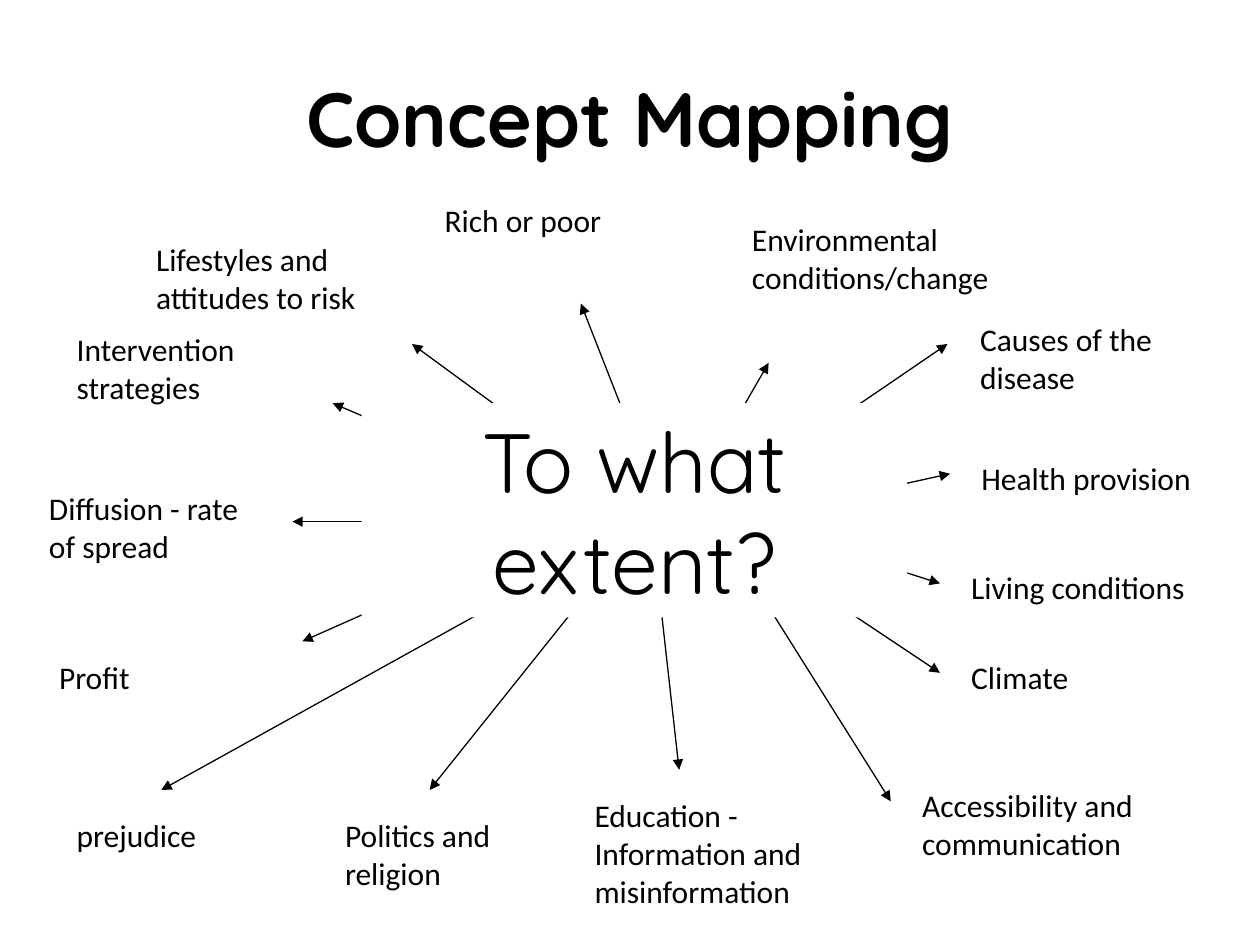
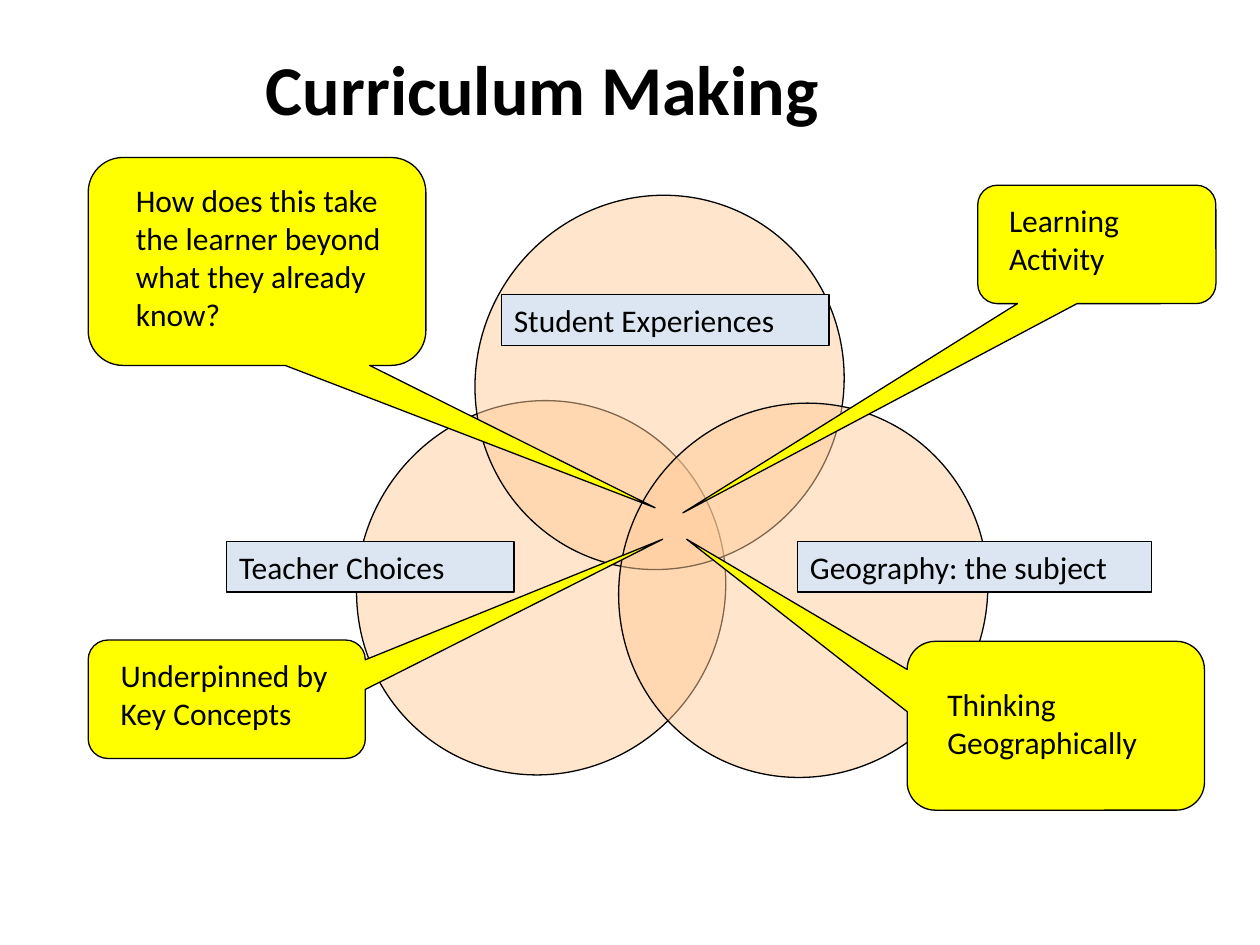
from dataclasses import dataclass
from typing import Any

from lxml.etree import SubElement as Sub
from pptx import Presentation
from pptx.dml.color import RGBColor
from pptx.enum.shapes import MSO_CONNECTOR as Link, MSO_SHAPE as Kind
from pptx.enum.text import MSO_ANCHOR as Anchor, PP_ALIGN as Align
from pptx.oxml.ns import qn
from pptx.util import Inches, Pt

BLACK = RGBColor(0, 0, 0)
WHITE = RGBColor(255, 255, 255)
PEACH = RGBColor(0xFF, 0xCC, 0x99)
PALE = RGBColor(0xDC, 0xE6, 0xF2)
YELLOW = RGBColor(255, 255, 0)

# The slide is a grid of 100 columns and 75 rows; all places are (column, row).
WIDE, HIGH = Inches(10), Inches(7.5)
COL, ROW = WIDE / 100, HIGH / 75

BODY = {"name": "Calibri", "size": Pt(18), "bold": False}
HEAD = {"name": "Quicksand", "size": Pt(44), "bold": True}
SUBHEAD = {"name": "Calibri", "size": Pt(40), "bold": True}
CORE = {"name": "Quicksand", "size": Pt(48), "bold": False}
EDGE = Pt(0.75)


@dataclass
class Box:
    x: float
    y: float
    w: float
    h: float

    def spot(self) -> dict[str, int]:
        return {"left": int(self.x * COL), "top": int(self.y * ROW),
                "width": int(self.w * COL), "height": int(self.h * ROW)}


@dataclass
class Spoke:
    """A label and the arrow that points to it."""
    text: str
    x: float
    y: float
    start: tuple[float, float]
    tip: tuple[float, float]
    lines: int = 1
    w: float = 19.5


@dataclass
class Note:
    """A callout whose pointer ends at aim, with text in its own box."""
    text: str
    frame: Box
    aim: tuple[float, float]
    inner: Box


SPOKES = [
    Spoke("Health provision", 76.9, 35.9, (65, 39.9), (75.4, 37.6)),
    Spoke("Environmental conditions/change", 58.7, 17, (58.7, 32.8), (61, 28.8), 2, 23.4),
    Spoke("Living conditions", 76.1, 44.6, (64.2, 43), (74.6, 46.3)),
    Spoke("Education - Information and misinformation", 46.2, 62.7, (52.4, 47.7), (53.9, 61.1), 3),
    Spoke("Climate", 76.1, 51.7, (62.6, 45.4), (74.6, 53.4)),
    Spoke("Accessibility and communication", 72.2, 61.9, (60.2, 46.9), (70.7, 63.6), 2),
    Spoke("Politics and religion", 26.4, 64.3, (46.1, 47.7), (34.1, 62.7), 2),
    Spoke("prejudice", 5.1, 64.3, (41.3, 46.9), (12.8, 62.7)),
    Spoke("Profit", 3.7, 51.7, (38.2, 44.6), (24, 50.9)),
    Spoke("Intervention strategies", 5.1, 25.7, (37.4, 36.7), (26.4, 32), 2),
    Spoke("Diffusion - rate of spread", 2.9, 38.3, (35.8, 41.4), (23.2, 41.4), 2),
    Spoke("Lifestyles and attitudes to risk", 11.4, 18.6, (41.3, 33.6), (32.7, 27.3), 2),
    Spoke("Rich or poor", 34.3, 15.5, (49.2, 32), (46.1, 24.1)),
    Spoke("Causes of the disease", 76.8, 24.9, (62.6, 35.9), (75.2, 27.3), 2, 20.5),
]
RINGS = [(28, 32.1), (37.4, 15.8), (48.8, 32.3)]
TAGS = [
    ("Student Experiences", Box(39.8, 23.4, 26, 4)),
    ("Geography: the subject", Box(63.3, 43, 28.1, 4)),
    ("Teacher Choices", Box(18, 43, 22.8, 4)),
]
NOTES = [
    Note("Underpinned by Key Concepts", Box(7, 50.8, 22, 9.4), (52.6, 42.8), Box(8.6, 51.6, 19.7, 7)),
    Note("How does this take the learner beyond what they already know?",
         Box(7, 12.5, 26.8, 16.5), (52, 40.3), Box(9.8, 13.9, 22.8, 13)),
    Note("Thinking Geographically", Box(72, 50.9, 23.6, 13.4), (54.5, 42.8), Box(74.2, 53.9, 18.9, 7)),
    Note("Learning Activity", Box(77.6, 14.7, 18.9, 9.4), (54.2, 40.7), Box(79.1, 15.5, 16.5, 7)),
]


def put(item: Any, vals: dict[str, Any]) -> None:
    for name, val in vals.items():
        setattr(item, name, val)


def write(shape: Any, text: str, font: dict[str, Any], align: Align = Align.LEFT,
          anchor: Anchor = Anchor.TOP) -> None:
    frame = shape.text_frame
    frame.text = text
    put(frame, {"word_wrap": True, "vertical_anchor": anchor})
    para = frame.paragraphs[0]
    para.alignment = align
    run = para.runs[0]
    put(run.font, font)
    run.font.color.rgb = BLACK


def label(slide: Any, text: str, box: Box) -> None:
    write(slide.shapes.add_textbox(**box.spot()), text, BODY)


def draw(slide: Any, kind: Kind, box: Box, fill: RGBColor, edge: bool = True) -> Any:
    shape = slide.shapes.add_shape(kind, **box.spot())
    shape.shadow.inherit = False
    shape.fill.solid()
    shape.fill.fore_color.rgb = fill
    if edge:
        shape.line.color.rgb = BLACK
        shape.line.width = EDGE
    else:
        shape.line.fill.background()
    return shape


def arrow(slide: Any, start: tuple[float, float], tip: tuple[float, float]) -> None:
    ends = [int(n * unit) for point in (start, tip) for n, unit in zip(point, (COL, ROW))]
    line = slide.shapes.add_connector(Link.STRAIGHT, *ends)
    line.line.color.rgb = BLACK
    line.line.width = EDGE
    Sub(line.line._get_or_add_ln(), qn("a:tailEnd"), type="triangle")
    Sub(line._element.spPr, qn("a:effectLst"))


def ring(slide: Any, x: float, y: float) -> None:
    """A half clear circle."""
    shape = draw(slide, Kind.OVAL, Box(x, y, 29.9, 29.1), PEACH)
    shape.rotation = 299.9
    tint = shape._element.spPr.find(qn("a:solidFill"))[0]
    Sub(tint, qn("a:alpha"), val="50000")


def callout(slide: Any, note: Note) -> None:
    box = note.frame
    shape = draw(slide, Kind.ROUNDED_RECTANGULAR_CALLOUT, box, YELLOW)
    shape.adjustments[0] = (note.aim[0] - box.x) / box.w - 0.5
    shape.adjustments[1] = (note.aim[1] - box.y) / box.h - 0.5
    label(slide, note.text, note.inner)


def start(deck: Any, text: str, box: Box, font: dict[str, Any], align: Align, anchor: Anchor) -> Any:
    """Add a slide with its title."""
    slide = deck.slides.add_slide(deck.slide_layouts[5])
    title = slide.shapes.title
    put(title, box.spot())
    write(title, text, font, align, anchor)
    return slide


def concept(deck: Any) -> None:
    slide = start(deck, "Concept Mapping", Box(5, 3, 90, 12.5), HEAD, Align.CENTER, Anchor.MIDDLE)
    for spoke in SPOKES:
        arrow(slide, spoke.start, spoke.tip)
        label(slide, spoke.text, Box(spoke.x, spoke.y, spoke.w, 1 + 3 * spoke.lines))
    core = draw(slide, Kind.RECTANGLE, Box(28.7, 32, 43.3, 17), WHITE, edge=False)
    write(core, "To what extent?", CORE, Align.CENTER)


def making(deck: Any) -> None:
    slide = start(deck, "Curriculum Making", Box(20.1, 3.1, 61.6, 7.7), SUBHEAD, Align.LEFT, Anchor.TOP)
    for x, y in RINGS:
        ring(slide, x, y)
    for text, box in TAGS:
        write(draw(slide, Kind.RECTANGLE, box, PALE), text, BODY)
    for note in NOTES:
        callout(slide, note)


def main() -> None:
    deck = Presentation()
    put(deck, {"slide_width": WIDE, "slide_height": HIGH})
    concept(deck)
    making(deck)
    deck.save("out.pptx")


if __name__ == "__main__":
    main()
